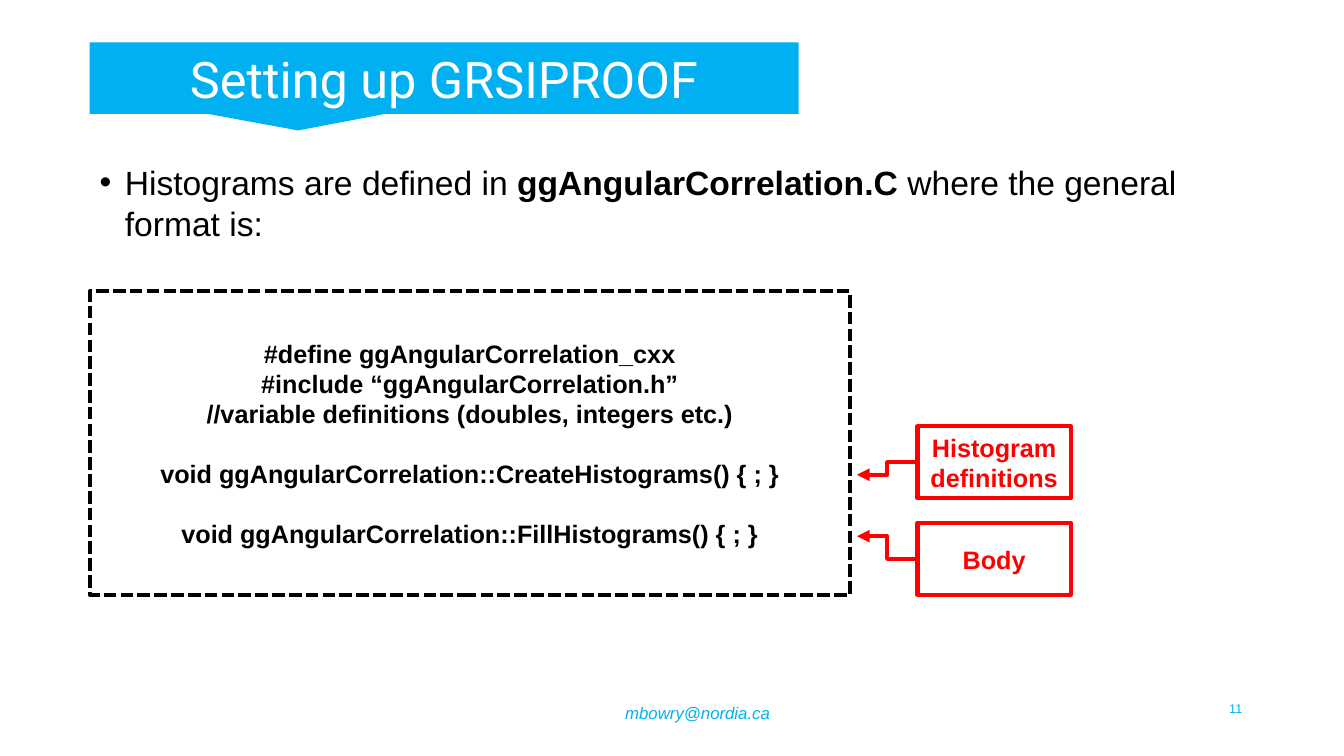
from lxml import etree
from pptx import Presentation, util as u
from pptx.dml.color import RGBColor
from pptx.enum import dml, shapes, text
from pptx.oxml.ns import qn

BLUE, RED, BLACK, WHITE = "00B0F0", "FF0000", "000000", "FFFFFF"
CENTER, RIGHT = text.PP_ALIGN.CENTER, text.PP_ALIGN.RIGHT


def color(value):
    return RGBColor.from_string(value)


def apply(target, values):
    for name, value in values.items():
        setattr(target, name, value)


class SlideBuilder:
    """Holds the text style and the current slide, and adds elements to it."""

    def __init__(self, slide, font="Arial", line_width=3):
        self.slide = slide
        self.font = font
        self.line_width = u.Pt(line_width)

    def add_runs(self, paragraph, runs, ink, size, layout, **style):
        apply(paragraph, layout)
        for words, bold in runs:
            run = paragraph.add_run()
            run.text = words
            values = {"name": self.font, "size": u.Pt(size), "bold": bold}
            apply(run.font, {**values, **style})
            run.font.color.rgb = color(ink)

    def text_box(self, box, runs, ink, size, layout, **style):
        shape = self.slide.shapes.add_textbox(*map(u.Inches, box))
        shape.text_frame.word_wrap = True
        paragraph = shape.text_frame.paragraphs[0]
        self.add_runs(paragraph, runs, ink, size, layout, **style)
        return paragraph

    def bullet(self, box, runs, ink, size):
        paragraph = self.text_box(box, runs, ink, size, {"space_before": u.Pt(10)})
        properties = paragraph._p.get_or_add_pPr()
        indent = u.Inches(0.25)
        properties.set("marL", str(indent))
        properties.set("indent", str(-indent))
        etree.SubElement(properties, qn("a:buFont"), typeface="Arial")
        etree.SubElement(properties, qn("a:buChar"), char="•")

    def shape(self, kind, box):
        shape = self.slide.shapes.add_shape(kind, *map(u.Inches, box))
        shape.shadow.inherit = False
        apply(shape.text_frame, {"word_wrap": True, "vertical_anchor": text.MSO_ANCHOR.MIDDLE})
        return shape

    def banner(self, box, title):
        shape = self.shape(shapes.MSO_SHAPE.RECTANGULAR_CALLOUT, box)
        shape.adjustments[0], shape.adjustments[1] = -0.206, 0.731
        shape.fill.solid()
        shape.fill.fore_color.rgb = color(BLUE)
        shape.line.fill.background()
        self.add_runs(shape.text_frame.paragraphs[0], [(title, False)], WHITE, 36,
                      {"alignment": CENTER}, name="Roboto")

    def frame(self, box, lines, ink, dash=None):
        shape = self.shape(shapes.MSO_SHAPE.RECTANGLE, box)
        shape.fill.background()
        shape.line.color.rgb = color(ink)
        apply(shape.line, {"width": self.line_width, "dash_style": dash})
        frame = shape.text_frame
        for number, (line, gap) in enumerate(lines):
            paragraph = frame.add_paragraph() if number else frame.paragraphs[0]
            layout = {"alignment": CENTER, "space_before": u.Pt(gap)}
            self.add_runs(paragraph, [(line, True)], ink, 18, layout)
        return shape

    def arrow(self, source, x, y):
        connector = self.slide.shapes.add_connector(
            shapes.MSO_CONNECTOR.ELBOW, source.left, source.top + source.height // 2,
            u.Inches(x), u.Inches(y))
        connector.begin_connect(source, 1)
        connector.line.color.rgb = color(RED)
        connector.line.width = self.line_width
        etree.SubElement(connector.line._get_or_add_ln(), qn("a:tailEnd"), type="triangle")
        etree.SubElement(connector._element.spPr, qn("a:effectLst"))


def main():
    presentation = Presentation()
    apply(presentation, {"slide_width": u.Inches(13.33), "slide_height": u.Inches(7.5)})
    builder = SlideBuilder(presentation.slides.add_slide(presentation.slide_layouts[6]))

    builder.text_box((9.42, 6.9, 3, 0.4), [("11", False)], BLUE, 9, {"alignment": RIGHT})
    builder.banner((0.89, 0.42, 7.03, 0.71), "Setting up GRSIPROOF")
    builder.text_box((4.74, 6.94, 4.36, 0.36), [("mbowry@nordia.ca", False)], BLUE, 12,
                     {"alignment": CENTER, "line_spacing": 0.9, "space_before": u.Pt(10)},
                     italic=True)
    builder.bullet((0.89, 1.56, 11.63, 5.34),
                   [("Histograms are defined in ", False),
                    ("ggAngularCorrelation.C ", True),
                    ("where the general format is:", False)], BLACK, 24)

    code_lines = [
        ("#define ggAngularCorrelation_cxx", 0),
        ("#include “ggAngularCorrelation.h”", 0),
        ("//variable definitions (doubles, integers etc.)", 0),
        ("void ggAngularCorrelation::CreateHistograms() { ; }", 21),
        ("void ggAngularCorrelation::FillHistograms() { ; }", 21),
    ]
    builder.frame((0.89, 2.89, 7.54, 3.01), code_lines, BLACK, dml.MSO_LINE.SQUARE_DOT)

    labels = [("Histogram definitions", 4.71), ("Body", 5.32)]
    for row, (label, target) in enumerate(labels):
        box = builder.frame((9.1, 4.23 + 0.96 * row, 1.52, 0.71), [(label, 0)], RED)
        builder.arrow(box, 8.5, target)

    presentation.save("out.pptx")


if __name__ == "__main__":
    main()
